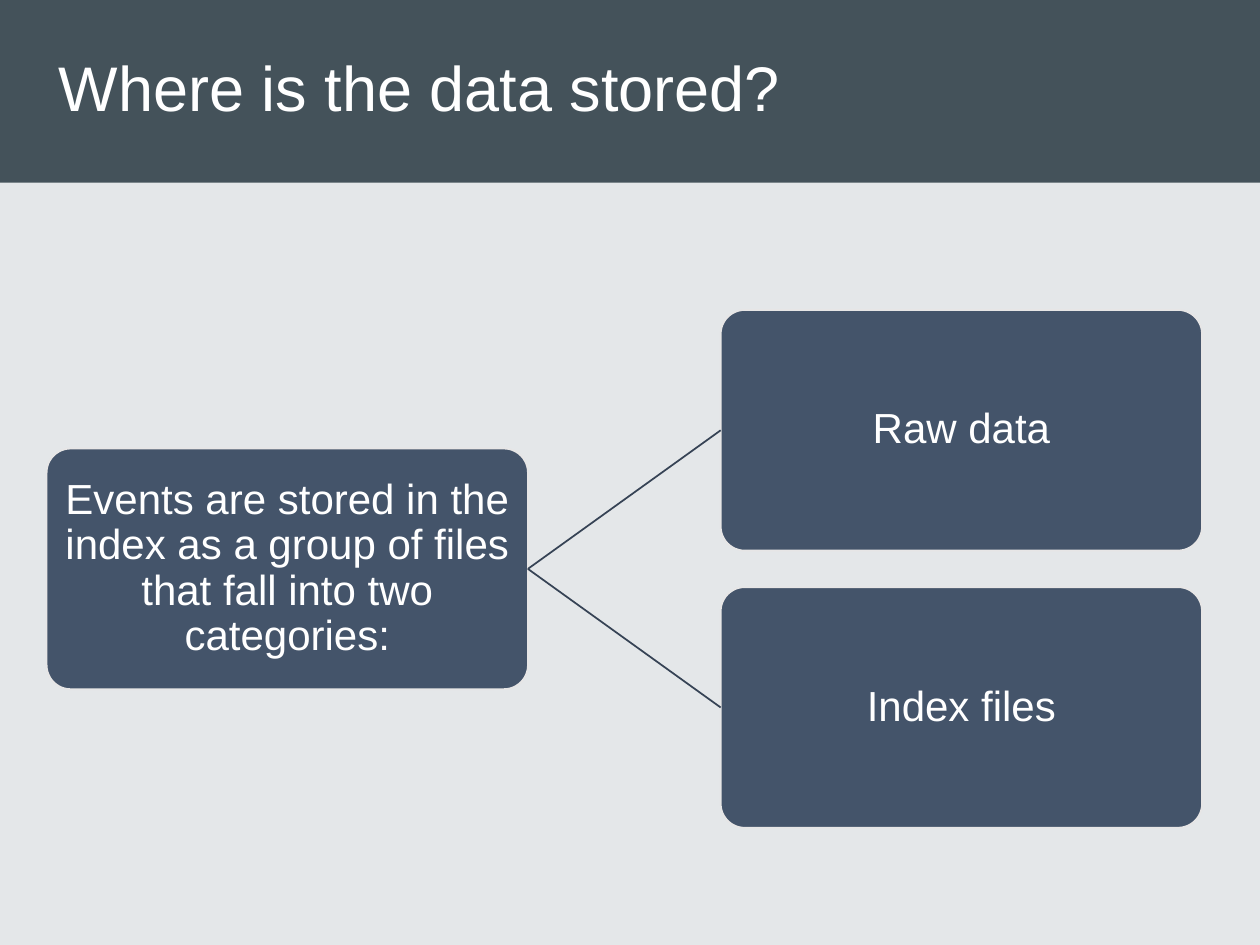
from lxml.etree import SubElement
from pptx import Presentation
from pptx.dml.color import RGBColor
from pptx.enum.shapes import MSO_CONNECTOR, MSO_SHAPE
from pptx.enum.text import MSO_ANCHOR, PP_ALIGN
from pptx.oxml.ns import qn
from pptx.util import Inches, Pt


def paint(code):
    return RGBColor.from_string(code)


class Deck:
    """Holds the style and the current slide."""

    font = "Arial"
    white = "FFFFFF"
    back = "E4E7E9"
    band = "44525A"
    fill = "44546A"
    edge = "E7E6E6"
    line = "364355"

    def __init__(self, slide):
        self.slide = slide
        ground = slide.background.fill
        ground.solid()
        ground.fore_color.rgb = paint(self.back)

    def label(self, frame, text, size, align):
        frame.word_wrap = True
        frame.vertical_anchor = MSO_ANCHOR.MIDDLE
        frame.text = text
        par = frame.paragraphs[0]
        par.alignment = align
        par.line_spacing = 0.9
        font = par.runs[0].font
        font.name = self.font
        font.size = Pt(size)
        font.color.rgb = paint(self.white)

    def shape(self, kind, left, top, width, height, fill):
        item = self.slide.shapes.add_shape(
            kind, Inches(left), Inches(top), Inches(width), Inches(height))
        item.shadow.inherit = False
        item.fill.solid()
        item.fill.fore_color.rgb = paint(fill)
        item.line.fill.background()
        return item

    def title(self, text, left, width, height):
        self.shape(MSO_SHAPE.RECTANGLE, 0, 0, 10, height, self.band)
        box = self.slide.shapes.add_textbox(
            Inches(left), Inches(0), Inches(width), Inches(height))
        self.label(box.text_frame, text, 36, PP_ALIGN.LEFT)

    def node(self, text, left, top, width, height):
        item = self.shape(MSO_SHAPE.ROUNDED_RECTANGLE,
                          left, top, width, height, self.fill)
        item.adjustments[0] = 0.1
        item.line.color.rgb = paint(self.edge)
        item.line.width = Pt(1)
        frame = item.text_frame
        frame.margin_left = frame.margin_right = Inches(0.02)
        frame.margin_top = frame.margin_bottom = Inches(0.02)
        self.label(frame, text, 24, PP_ALIGN.CENTER)
        return item

    def link(self, start, end):
        wire = self.slide.shapes.add_connector(
            MSO_CONNECTOR.STRAIGHT, Inches(0), Inches(0), Inches(0), Inches(0))
        wire.begin_connect(start, 3)
        wire.end_connect(end, 1)
        wire.line.color.rgb = paint(self.line)
        wire.line.width = Pt(1)
        SubElement(wire._element.spPr, qn("a:effectLst"))


def main():
    show = Presentation()
    show.slide_width, show.slide_height = Inches(10), Inches(7.5)
    deck = Deck(show.slides.add_slide(show.slide_layouts[6]))
    deck.title("Where is the data stored?", 0.37, 9.17, 1.45)

    wide, high, mid, step = 3.82, 1.91, 3.56, 2.2
    root = deck.node("Events are stored in the index as a group of files "
                     "that fall into two categories:", 0.37, mid, wide, high)
    for row, text in enumerate(("Raw data", "Index files")):
        top = mid + (row - 0.5) * step
        deck.link(root, deck.node(text, 5.72, top, wide, high))

    show.save("out.pptx")


if __name__ == "__main__":
    main()
